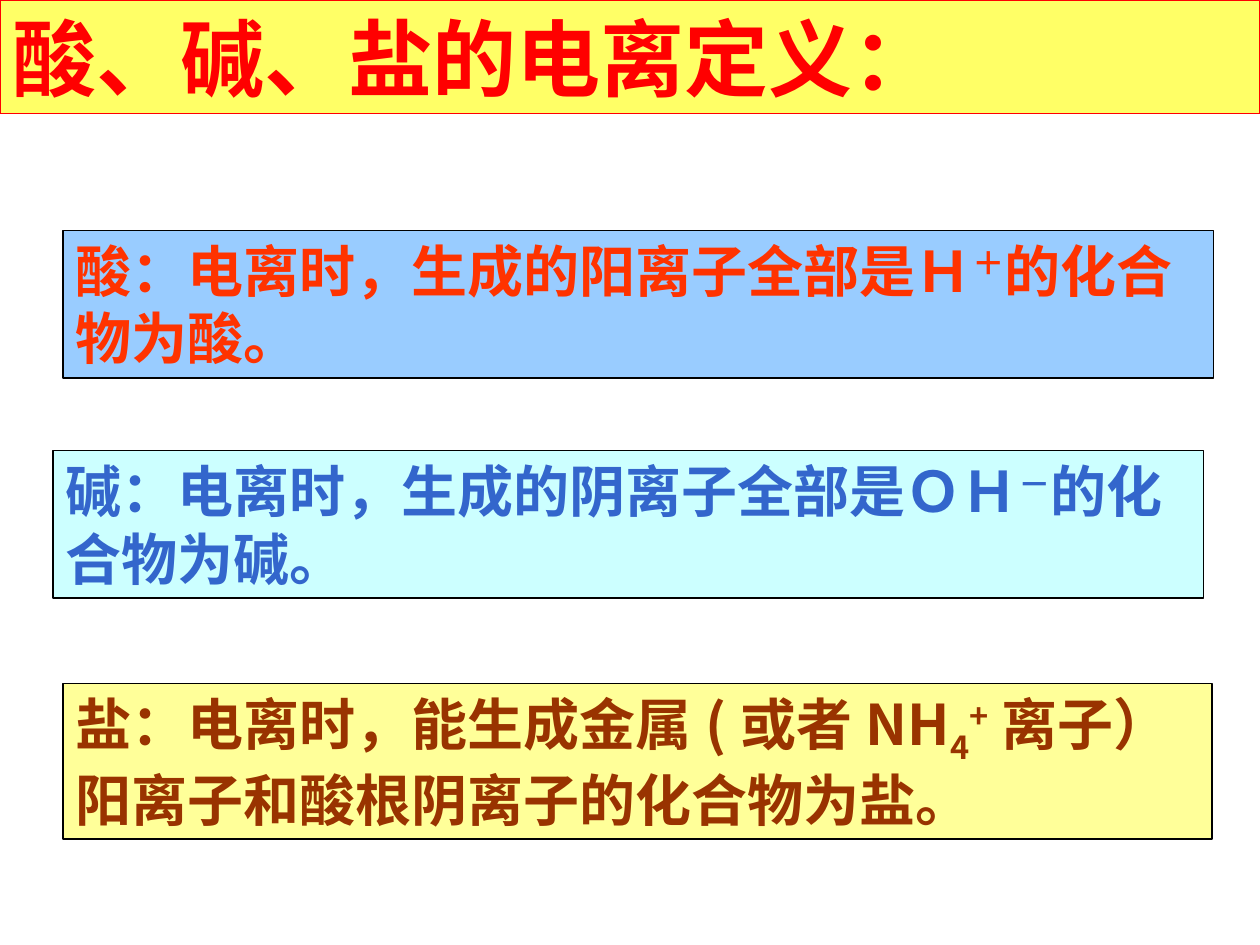
from dataclasses import dataclass
from lxml.etree import SubElement
from pptx import Presentation
from pptx.dml.color import RGBColor as Rgb
from pptx.enum.shapes import MSO_SHAPE as Kind
from pptx.enum.text import MSO_ANCHOR as Anchor, PP_ALIGN as Align
from pptx.oxml.ns import qn
from pptx.util import Inches, Pt


@dataclass(frozen=True)
class Theme:
    sans: str = "Noto Sans CJK SC"
    serif: str = "Times New Roman"
    title: int = 48
    body: int = 32
    rule: float = 0.75
    red: str = "FF0000"
    black: str = "000000"
    lemon: str = "FFFF66"
    cream: str = "FFFF99"
    sky: str = "99CCFF"
    ice: str = "CCFFFF"
    orange: str = "FF3300"
    blue: str = "3366CC"
    brown: str = "993300"


@dataclass(frozen=True)
class Piece:
    text: str
    shift: int = 0


@dataclass(frozen=True)
class Panel:
    left: float
    top: float
    width: float
    height: float
    fill: str
    ink: str
    words: tuple[Piece, ...]
    edge: str = Theme.black
    size: int = Theme.body
    face: str = Theme.serif


WIDE, TALL = Inches(10), Inches(7.5)
SUPER, SUB = 30, -25
FRAME = {
    "word_wrap": True,
    "vertical_anchor": Anchor.TOP,
    "margin_left": Inches(0.1),
    "margin_right": Inches(0.1),
    "margin_top": Inches(0.05),
    "margin_bottom": Inches(0.05),
}

PANELS = (
    Panel(0.05, 0.723, 0.912, 0.165, Theme.cream, Theme.brown, (
        Piece("盐：电离时，能生成金属(或者NH"), Piece("4", SUB), Piece("+", SUPER),
        Piece("离子）阳离子和酸根阴离子的化合物为盐。")), face=Theme.sans),
    Panel(0.05, 0.244, 0.913, 0.156, Theme.sky, Theme.orange, (
        Piece("酸：电离时，生成的阳离子全部是Ｈ"), Piece("＋", SUPER),
        Piece("的化合物为酸。"))),
    Panel(0.042, 0.477, 0.913, 0.156, Theme.ice, Theme.blue, (
        Piece("碱：电离时，生成的阴离子全部是ＯＨ"), Piece("－", SUPER),
        Piece("的化合物为碱。"))),
    Panel(0, 0, 1, 0.12, Theme.lemon, Theme.red,
          (Piece("酸、碱、盐的电离定义："),), Theme.red, Theme.title),
)


def write(para, piece: Piece, panel: Panel) -> None:
    run = para.add_run()
    run.text = piece.text
    font = run.font
    style = {"name": panel.face, "size": Pt(panel.size), "bold": True}
    for key, value in style.items():
        setattr(font, key, value)
    font.color.rgb = Rgb.from_string(panel.ink)
    props = run._r.get_or_add_rPr()
    SubElement(props, qn("a:ea")).set("typeface", Theme.sans)
    if piece.shift:
        props.set("baseline", str(piece.shift * 1000))


def draw(slide, panel: Panel) -> None:
    box = slide.shapes.add_shape(
        Kind.RECTANGLE, int(panel.left * WIDE), int(panel.top * TALL),
        int(panel.width * WIDE), int(panel.height * TALL))
    box.shadow.inherit = False
    box.fill.solid()
    box.fill.fore_color.rgb = Rgb.from_string(panel.fill)
    box.line.color.rgb = Rgb.from_string(panel.edge)
    box.line.width = Pt(Theme.rule)
    frame = box.text_frame
    for key, value in FRAME.items():
        setattr(frame, key, value)
    para = frame.paragraphs[0]
    para.alignment = Align.LEFT
    for piece in panel.words:
        write(para, piece, panel)


def main() -> None:
    deck = Presentation()
    deck.slide_width, deck.slide_height = WIDE, TALL
    slide = deck.slides.add_slide(deck.slide_layouts[6])
    for panel in PANELS:
        draw(slide, panel)
    deck.save("out.pptx")


if __name__ == "__main__":
    main()
